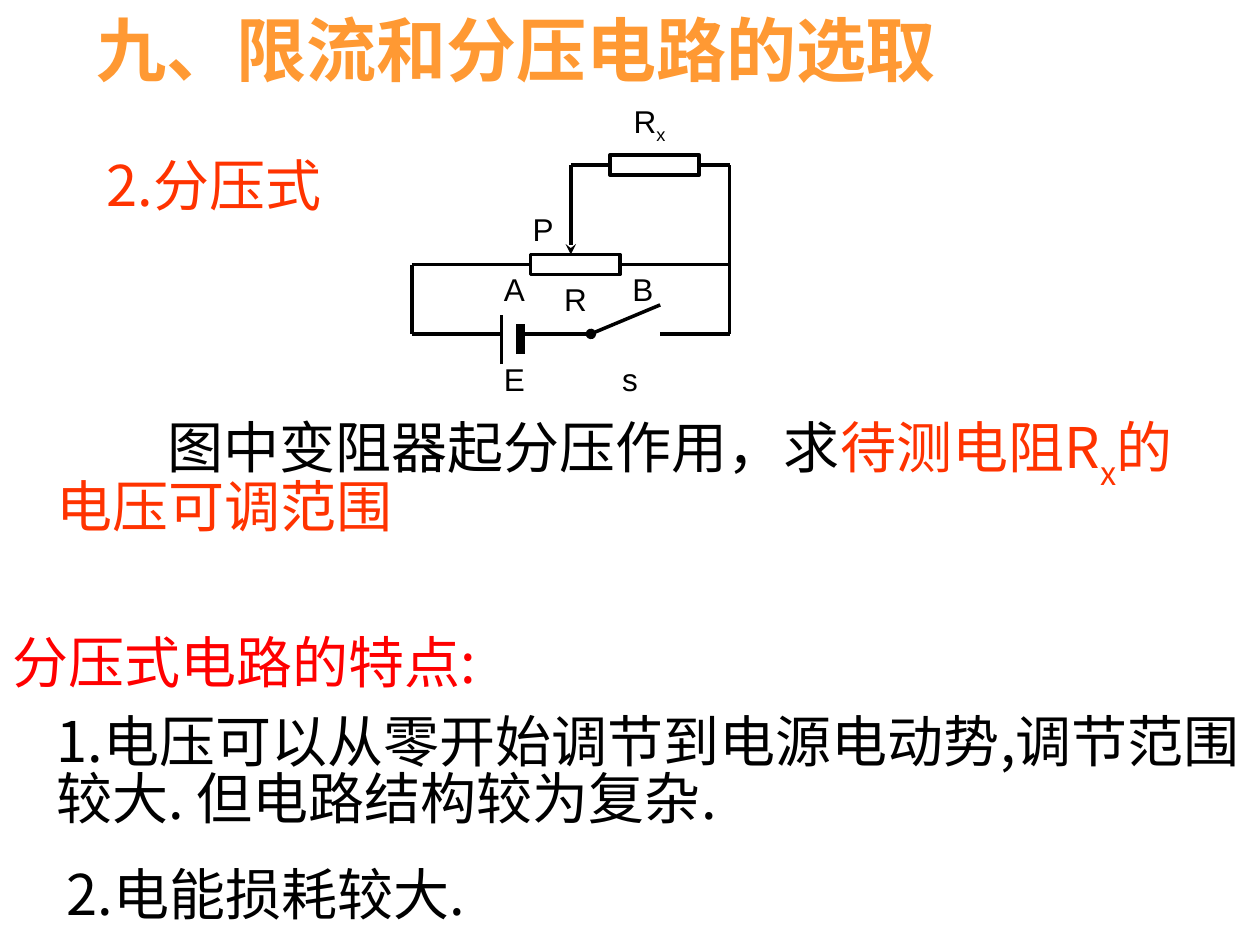
from lxml import etree
from pptx import Presentation
from pptx.dml.color import RGBColor
from pptx.enum.shapes import MSO_CONNECTOR, MSO_SHAPE
from pptx.enum.text import MSO_ANCHOR
from pptx.oxml.ns import qn
from pptx.util import Inches, Pt

STRAIGHT = MSO_CONNECTOR.STRAIGHT
RECTANGLE = MSO_SHAPE.RECTANGLE
TOP, MIDDLE = MSO_ANCHOR.TOP, MSO_ANCHOR.MIDDLE

BLACK = RGBColor(0x00, 0x00, 0x00)
WHITE = RGBColor(0xFF, 0xFF, 0xFF)
RED = RGBColor(0xFF, 0x00, 0x00)
VERMILION = RGBColor(0xFF, 0x33, 0x00)
ORANGE = RGBColor(0xFF, 0x99, 0x33)
CHINESE_FONT = "Noto Sans CJK SC"
LABEL_FONT = "Arial"

TITLE = ((0.67, 0, 7.36, 0.77), [("九、限流和分压电路的选取", ORANGE, 0)])
BODY = [
    ((0.75, 1.15, 2.2, 0.63), [("2.分压式", VERMILION, 0)], {"wrap": False}),
    ((0.35, 3.2, 9.29, 1.17),
     [("图中变阻器起分压作用，求", BLACK, 0), ("待测电阻R", VERMILION, 0),
      ("x", VERMILION, -30), ("的电压可调范围", VERMILION, 0)],
     {"indent": 0.88, "spacing": 0.84}),
    ((0, 4.93, 5.55, 0.63), [("分压式电路的特点:", RED, 0)], {}),
    ((0.35, 5.56, 9.65, 1.17),
     [("1.电压可以从零开始调节到电源电动势,调节范围较大. 但电路结构较为复杂.", BLACK, 0)],
     {"spacing": 0.84}),
    ((0.43, 6.77, 6.93, 0.63), [("2.电能损耗较大.", BLACK, 0)], {}),
]

LEFT, CELL_LONG, CELL_SHORT, SLIDER, PIVOT, CONTACT, RIGHT = 3.27, 3.98, 4.13, 4.53, 4.69, 5.24, 5.79
LOAD_ROW, RHEOSTAT_ROW, SOURCE_ROW = 1.31, 2.1, 2.65
RESISTOR_WIDTH, RESISTOR_HEIGHT = 0.71, 0.16
RHEOSTAT_TOP = RHEOSTAT_ROW - RESISTOR_HEIGHT / 2

WIRES = [
    ((LEFT, RHEOSTAT_ROW), (RIGHT, RHEOSTAT_ROW), 2, None),
    ((LEFT, SOURCE_ROW), (CELL_LONG, SOURCE_ROW), 2, None),
    ((LEFT, SOURCE_ROW), (LEFT, RHEOSTAT_ROW), 2, None),
    ((CELL_LONG, 2.89), (CELL_LONG, 2.5), 2, None),
    ((CELL_SHORT, 2.81), (CELL_SHORT, 2.57), 5, None),
    ((CELL_SHORT, SOURCE_ROW), (PIVOT, SOURCE_ROW), 2, None),
    ((CONTACT, SOURCE_ROW), (RIGHT, SOURCE_ROW), 2, None),
    ((PIVOT, SOURCE_ROW), (CONTACT, 2.42), 2, "oval"),
    ((SLIDER, RHEOSTAT_TOP), (SLIDER, LOAD_ROW), 2, "stealth"),
    ((RIGHT, SOURCE_ROW), (RIGHT, LOAD_ROW), 2, None),
    ((SLIDER, LOAD_ROW), (RIGHT, LOAD_ROW), 2, None),
]
RESISTORS = [(4.21, RHEOSTAT_ROW), (4.84, LOAD_ROW)]
LABELS = [
    (3.9, 2.81, [("E", BLACK, 0)]),
    (4.84, 2.81, [("s", BLACK, 0)]),
    (4.13, 1.62, [("P", BLACK, 0)]),
    (4.93, 0.76, [("R", BLACK, 0), ("x", BLACK, -25)]),
    (4.38, 2.17, [("R", BLACK, 0)]),
    (3.9, 2.09, [("A", BLACK, 0)]),
    (4.92, 2.09, [("B", BLACK, 0)]),
]


def add_text(slide, box, runs, size=32, font=CHINESE_FONT, bold=False,
             anchor=MIDDLE, wrap=True, indent=0, spacing=None):
    frame = slide.shapes.add_textbox(*map(Inches, box)).text_frame
    frame.word_wrap = wrap
    frame.vertical_anchor = anchor
    paragraph = frame.paragraphs[0]
    if indent:
        paragraph_format = paragraph._p.get_or_add_pPr()
        paragraph_format.set("marL", "0")
        paragraph_format.set("indent", str(Inches(indent)))
    if spacing:
        paragraph.line_spacing = spacing
    for text, color, baseline in runs:
        run = paragraph.add_run()
        run.text = text
        run.font.size = Pt(size)
        run.font.bold = bold
        run.font.name = font
        run.font.color.rgb = color
        properties = run._r.get_or_add_rPr()
        etree.SubElement(properties, qn("a:ea"), typeface=font)
        if baseline:
            properties.set("baseline", str(baseline * 1000))


def add_wire(slide, start, end, width, head):
    wire = slide.shapes.add_connector(STRAIGHT, *map(Inches, start + end))
    wire.line.color.rgb = BLACK
    wire.line.width = Pt(width)
    if head:
        etree.SubElement(wire.line._get_or_add_ln(), qn("a:headEnd"), type=head)
    etree.SubElement(wire._element.spPr, qn("a:effectLst"))


def add_resistor(slide, left, row):
    box = (left, row - RESISTOR_HEIGHT / 2, RESISTOR_WIDTH, RESISTOR_HEIGHT)
    resistor = slide.shapes.add_shape(RECTANGLE, *map(Inches, box))
    resistor.shadow.inherit = False
    resistor.fill.solid()
    resistor.fill.fore_color.rgb = WHITE
    resistor.line.color.rgb = BLACK
    resistor.line.width = Pt(2)


def main():
    presentation = Presentation()
    presentation.slide_width, presentation.slide_height = Inches(10), Inches(7.5)
    slide = presentation.slides.add_slide(presentation.slide_layouts[6])
    for box, runs, options in BODY:
        add_text(slide, box, runs, **options)
    for wire in WIRES:
        add_wire(slide, *wire)
    for left, row in RESISTORS:
        add_resistor(slide, left, row)
    for left, top, runs in LABELS:
        width = 0.47 if len(runs) > 1 else 0.37
        add_text(slide, (left, top, width, 0.4), runs, size=18,
                 font=LABEL_FONT, anchor=TOP, wrap=False)
    add_text(slide, *TITLE, size=40, bold=True)
    presentation.save("out.pptx")


if __name__ == "__main__":
    main()
